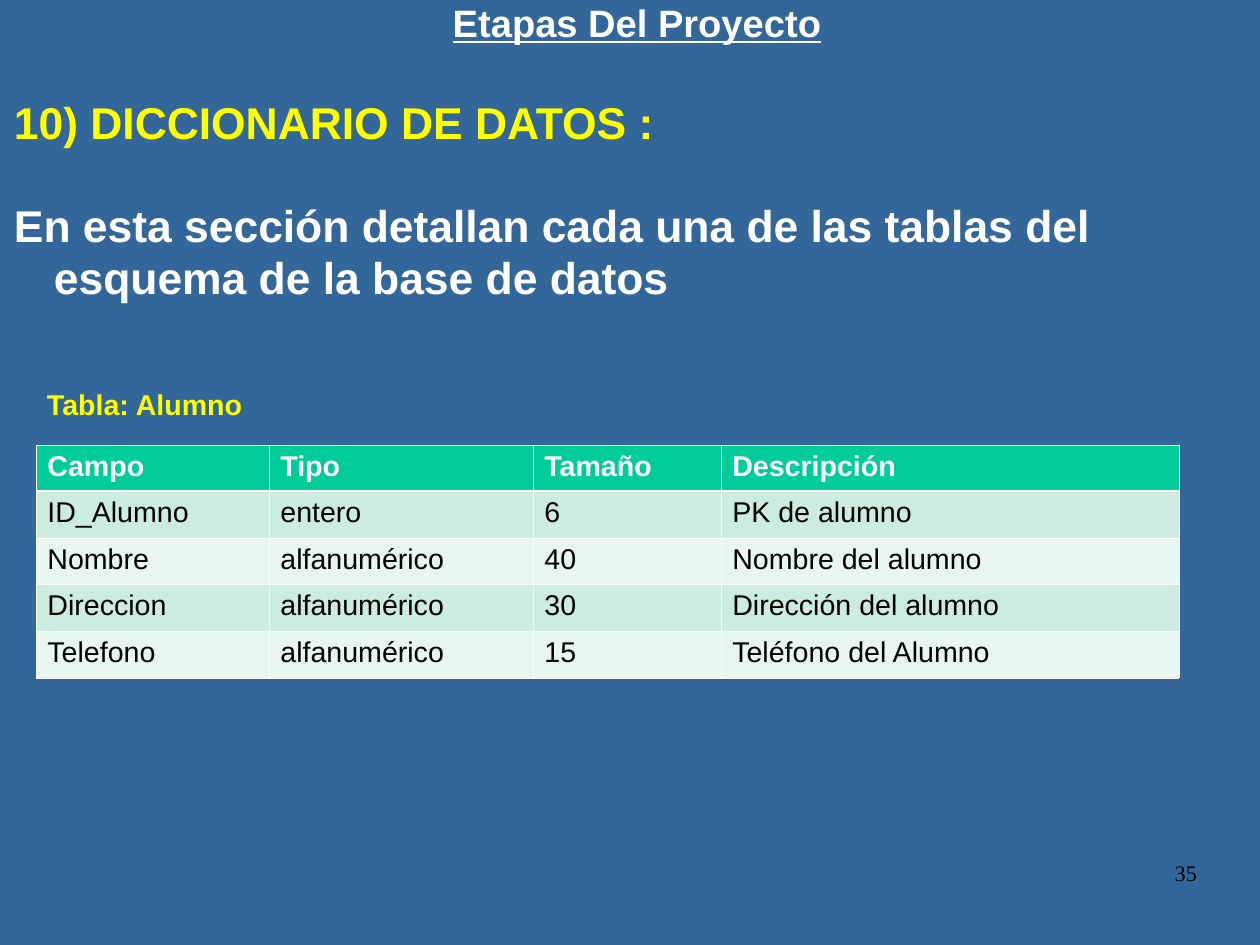
from dataclasses import dataclass

from lxml import etree
from pptx import Presentation
from pptx.dml.color import RGBColor
from pptx.enum.text import MSO_ANCHOR, MSO_AUTO_SIZE, PP_ALIGN
from pptx.oxml.ns import qn
from pptx.util import Emu, Pt

EMU_PER_PX = 8000
LEFT, CENTER, RIGHT = PP_ALIGN.LEFT, PP_ALIGN.CENTER, PP_ALIGN.RIGHT
TOP = MSO_ANCHOR.TOP
NO_AUTOFIT = MSO_AUTO_SIZE.NONE

BLUE = RGBColor(0x33, 0x66, 0x99)
WHITE = RGBColor(0xFF, 0xFF, 0xFF)
YELLOW = RGBColor(0xFF, 0xFF, 0x00)
BLACK = RGBColor(0x00, 0x00, 0x00)
GREEN = RGBColor(0x00, 0xCC, 0x99)
MINT = RGBColor(0xCB, 0xEC, 0xDE)
PALE_MINT = RGBColor(0xE7, 0xF6, 0xEF)

THIN_BORDER, HEADER_BORDER = Pt(0.45), Pt(1.47)
COLUMN_WIDTHS = (233, 264, 188, 458)
ROW_HEIGHTS = (46, 47, 46, 47, 47)
FIELDS = (
    ("Campo", "Tipo", "Tamaño", "Descripción"),
    ("ID_Alumno", "entero", "6", "PK de alumno"),
    ("Nombre", "alfanumérico", "40", "Nombre del alumno"),
    ("Direccion", "alfanumérico", "30", "Dirección del alumno"),
    ("Telefono", "alfanumérico", "15", "Teléfono del Alumno"),
)


@dataclass(frozen=True)
class Line:
    text: str
    size: int
    color: RGBColor
    bold: bool = True
    underline: bool = False
    font: str = "Arial"
    alignment: PP_ALIGN = LEFT
    spacing: float = 0.98
    space_before: float = 0
    space_after: float = 0
    margin: int = 0
    indent: int = 0


@dataclass(frozen=True)
class Block:
    left: int
    top: int
    width: int
    height: int
    lines: tuple[Line, ...]
    inset: tuple[int, int] = (0, 0)
    wrap: bool = True


TITLE = Block(14, 2, 1246, 43, (
    Line("Etapas Del Proyecto", 24, WHITE, underline=True, alignment=CENTER),
))
BLOCKS = (
    Block(0, 98, 1260, 213, (
        Line("10) DICCIONARIO DE DATOS :", 28, YELLOW,
             space_after=14.3, margin=54, indent=-40),
        Line("En esta sección detallan cada una de las tablas del esquema de la base de datos",
             28, WHITE, space_before=17.5, margin=54, indent=-40),
    )),
    Block(36, 383, 220, 44, (Line("Tabla: Alumno", 18, YELLOW),), (11, 6), False),
    Block(903, 861, 294, 65, (
        Line("35", 14, BLACK, bold=False, font="Times New Roman", alignment=RIGHT),
    )),
)


def px(length: int) -> Emu:
    return Emu(length * EMU_PER_PX)


def set_attributes(target: object, values: dict) -> None:
    for name, value in values.items():
        setattr(target, name, value)


def write_line(paragraph, line: Line) -> None:
    set_attributes(paragraph, {
        "alignment": line.alignment,
        "line_spacing": line.spacing,
        "space_before": Pt(line.space_before),
        "space_after": Pt(line.space_after),
    })
    properties = paragraph._p.get_or_add_pPr()
    properties.set("marL", str(px(line.margin)))
    properties.set("indent", str(px(line.indent)))
    run = paragraph.add_run()
    run.text = line.text
    set_attributes(run.font, {
        "name": line.font,
        "size": Pt(line.size),
        "bold": line.bold,
        "underline": line.underline,
    })
    run.font.color.rgb = line.color


def fill_block(shape, block: Block) -> None:
    set_attributes(shape, {
        "left": px(block.left),
        "top": px(block.top),
        "width": px(block.width),
        "height": px(block.height),
    })
    frame = shape.text_frame
    horizontal, vertical = map(px, block.inset)
    set_attributes(frame, {
        "margin_left": horizontal,
        "margin_right": horizontal,
        "margin_top": vertical,
        "margin_bottom": vertical,
        "vertical_anchor": TOP,
        "auto_size": NO_AUTOFIT,
        "word_wrap": block.wrap,
    })
    for index, line in enumerate(block.lines):
        write_line(frame.add_paragraph() if index else frame.paragraphs[0], line)


def set_borders(cell, widths: dict[str, Emu]) -> None:
    properties = cell._tc.get_or_add_tcPr()
    for position, (side, width) in enumerate(widths.items()):
        border = etree.Element(qn(f"a:ln{side}"), w=str(width))
        fill = etree.SubElement(border, qn("a:solidFill"))
        etree.SubElement(fill, qn("a:srgbClr"), val=str(WHITE))
        properties.insert(position, border)


def add_field_table(slide) -> None:
    table = slide.shapes.add_table(
        len(FIELDS), len(COLUMN_WIDTHS), px(36), px(445),
        px(sum(COLUMN_WIDTHS)), px(sum(ROW_HEIGHTS)),
    ).table
    for column, width in zip(table.columns, COLUMN_WIDTHS):
        column.width = px(width)
    for row_index, (row, height, texts) in enumerate(zip(table.rows, ROW_HEIGHTS, FIELDS)):
        row.height = px(height)
        header = row_index == 0
        fill = GREEN if header else (MINT if row_index % 2 else PALE_MINT)
        borders = {
            "L": THIN_BORDER,
            "R": THIN_BORDER,
            "T": HEADER_BORDER if row_index == 1 else THIN_BORDER,
            "B": HEADER_BORDER if header else THIN_BORDER,
        }
        for cell, text in zip(row.cells, texts):
            cell.fill.solid()
            cell.fill.fore_color.rgb = fill
            set_borders(cell, borders)
            write_line(cell.text_frame.paragraphs[0],
                       Line(text, 18, WHITE if header else BLACK, bold=header, spacing=1.0))


def main() -> None:
    presentation = Presentation()
    set_attributes(presentation, {"slide_width": px(1260), "slide_height": px(945)})
    slide = presentation.slides.add_slide(presentation.slide_layouts[5])
    slide.background.fill.solid()
    slide.background.fill.fore_color.rgb = BLUE
    fill_block(slide.shapes.title, TITLE)
    for block in BLOCKS:
        fill_block(slide.shapes.add_textbox(0, 0, 0, 0), block)
    add_field_table(slide)
    presentation.save("out.pptx")


if __name__ == "__main__":
    main()
